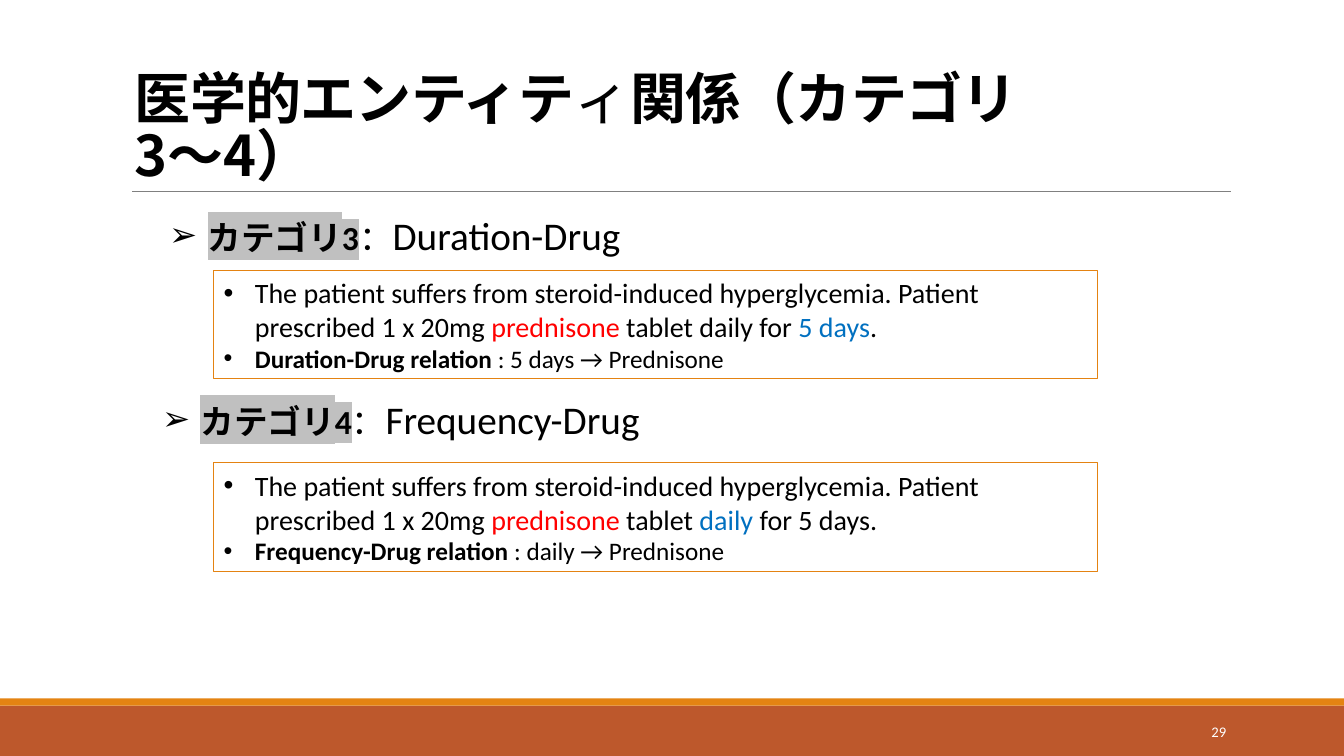
from pptx import Presentation
from pptx.dml.color import RGBColor
from pptx.enum.shapes import MSO_CONNECTOR, MSO_SHAPE
from pptx.enum.text import MSO_ANCHOR, PP_ALIGN
from pptx.oxml import parse_xml
from pptx.oxml.ns import nsdecls, qn
from pptx.util import Inches, Pt

LATIN, ASIAN = "Calibri", "Noto Sans CJK JP"
BLACK, RED, BLUE = "000000", "FF0000", "0070C0"
ORANGE, RUST, GRAY = "E48312", "BD582C", "808080"


def color(code):
    return RGBColor.from_string(code)


def node(xml):
    head, tail = xml.split(" ", 1)
    return parse_xml(f"{head} {nsdecls('a')} {tail}")


def add_text(para, text, size=20, fill=BLACK, bold=False, font=LATIN,
             mark=None, track=None):
    run = para.add_run()
    run.text = text
    face = run.font
    face.size, face.bold, face.name = Pt(size), bold, font
    face.color.rgb = color(fill)
    props = run._r.get_or_add_rPr()
    props.find(qn("a:latin")).addnext(node(f'<a:ea typeface="{ASIAN}"/>'))
    if mark:
        props.find(qn("a:solidFill")).addnext(node(
            f'<a:highlight ><a:srgbClr val="{mark}"/></a:highlight>'))
    if track:
        props.set("spc", str(int(track * 100)))


def add_bullet(para, sign, left, hang):
    para.alignment = PP_ALIGN.LEFT
    props = para._p.get_or_add_pPr()
    props.set("marL", str(Inches(left)))
    props.set("indent", str(-Inches(hang)))
    props.append(node('<a:buFont typeface="Arial"/>'))
    props.append(node(f'<a:buChar char="{sign}"/>'))


def add_box(slide, box, anchor=MSO_ANCHOR.TOP):
    frame = slide.shapes.add_textbox(*map(Inches, box)).text_frame
    frame.word_wrap = True
    frame.vertical_anchor = anchor
    return frame


def add_rect(slide, box, fill=None, line=None):
    rect = slide.shapes.add_shape(MSO_SHAPE.RECTANGLE, *map(Inches, box))
    rect.shadow.inherit = False
    if fill:
        rect.fill.solid()
        rect.fill.fore_color.rgb = color(fill)
    else:
        rect.fill.background()
    if line:
        rect.line.color.rgb = color(line)
        rect.line.width = Pt(0.75)
    else:
        rect.line.fill.background()
    return rect


def add_title(slide, box):
    para = add_box(slide, box, MSO_ANCHOR.BOTTOM).paragraphs[0]
    para.line_spacing = 0.85
    add_text(para, "医学的エンティテ", size=40, bold=True, track=-0.5)
    add_text(para, "ィ", size=40, track=-0.5)
    add_text(para, "関係（カテゴリ3〜4）", size=40, bold=True,
             font=ASIAN, track=-0.5)
    # Rule under the title
    left, top, width, height = box
    y = Inches(top + height - 0.01)
    rule = slide.shapes.add_connector(
        MSO_CONNECTOR.STRAIGHT, Inches(left + 0.07), y, Inches(12.21), y)
    rule.line.color.rgb = color(GRAY)
    rule.line.width = Pt(0.5)
    rule._element.spPr.append(node("<a:effectLst />"))


def add_footer(slide, box):
    left, top, width, height = box
    add_rect(slide, (left, top + 0.07, width, height - 0.07), fill=RUST)
    add_rect(slide, (left, top, width, 0.07), fill=ORANGE)
    # Slide number
    frame = add_box(slide, (left + 10.83, top + 0.13, 1.43, 0.4),
                    MSO_ANCHOR.MIDDLE)
    para = frame.paragraphs[0]
    para.alignment = PP_ALIGN.RIGHT
    add_text(para, "29", size=10.5, fill="FFFFFF")


def add_head(slide, box, label, name):
    para = add_box(slide, box).paragraphs[0]
    add_bullet(para, "➢", 0.88, 0.38)
    add_text(para, label, size=24, bold=True, mark="C0C0C0")
    add_text(para, "：", size=24)
    add_text(para, name, size=28)


def add_case(slide, box, parts, name, link):
    frame = add_rect(slide, box, line=ORANGE).text_frame
    frame.word_wrap = True
    frame.vertical_anchor = MSO_ANCHOR.MIDDLE
    # Example sentence
    first = frame.paragraphs[0]
    add_bullet(first, "•", 0.31, 0.31)
    for text, fill in parts:
        add_text(first, text, fill=fill)
    # Relation found in it
    last = frame.add_paragraph()
    add_bullet(last, "•", 0.31, 0.31)
    add_text(last, f"{name} relation ", size=18, bold=True)
    add_text(last, f": {link} → Prednisone", size=18)


def main():
    deck = Presentation()
    deck.slide_width, deck.slide_height = Inches(13.33), Inches(7.5)
    slide = deck.slides.add_slide(deck.slide_layouts[6])
    add_footer(slide, (0, 6.93, 13.33, 0.57))
    add_title(slide, (1.24, 0.84, 9.78, 1.07))

    start = [("The patient suffers from steroid-induced hyperglycemia. "
              "Patient prescribed 1 x 20mg ", BLACK), ("prednisone ", RED)]
    # Heading place, case top, label, name, end of sentence, link
    cases = [
        ((1.08, 2.05), 2.68, "カテゴリ3", "Duration-Drug",
         [("tablet daily for ", BLACK), ("5 days", BLUE), (".", BLACK)],
         "5 days"),
        ((1.01, 3.87), 4.59, "カテゴリ4", "Frequency-Drug",
         [("tablet ", BLACK), ("daily", BLUE), (" for 5 days.", BLACK)],
         "daily"),
    ]
    for place, top, label, name, end, link in cases:
        add_head(slide, (*place, 11.18, 0.57), label, name)
        add_case(slide, (2.12, top, 8.77, 1.08), start + end, name, link)
    deck.save("out.pptx")


if __name__ == "__main__":
    main()
